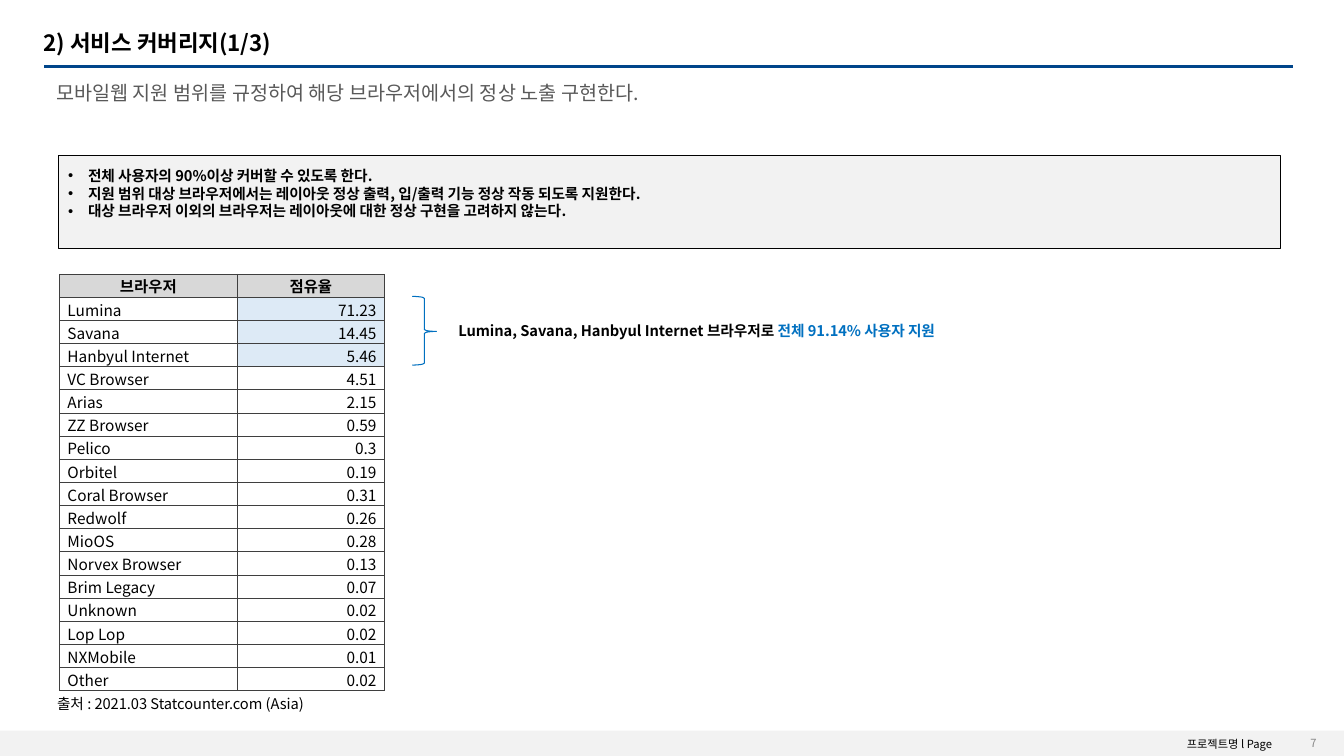
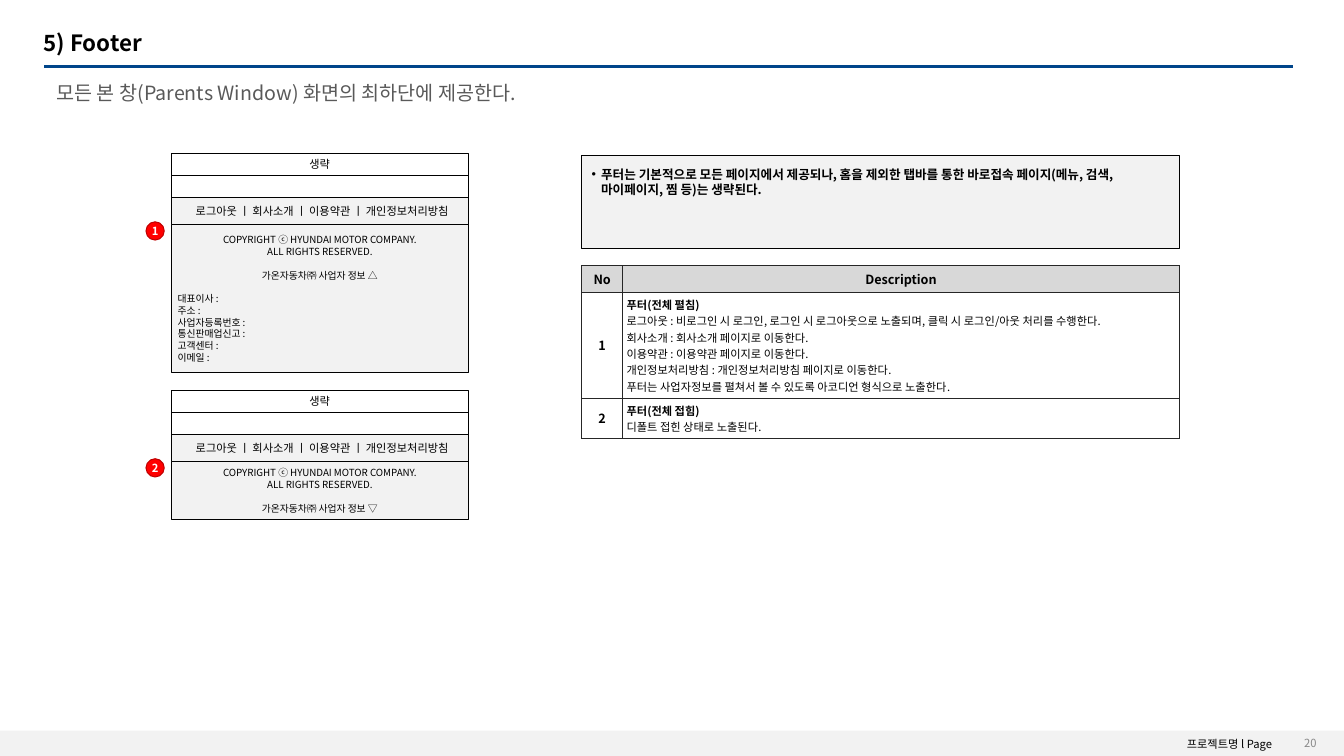
from lxml import etree
from pptx import Presentation
from pptx.dml.color import RGBColor
from pptx.enum.shapes import MSO_CONNECTOR, MSO_SHAPE
from pptx.enum.text import MSO_ANCHOR, MSO_AUTO_SIZE, PP_ALIGN
from pptx.oxml.ns import qn
from pptx.util import Cm, Pt

LEFT, CENTER, RIGHT = PP_ALIGN.LEFT, PP_ALIGN.CENTER, PP_ALIGN.RIGHT
TOP, MIDDLE = MSO_ANCHOR.TOP, MSO_ANCHOR.MIDDLE
RECT, OVAL, BRACE = MSO_SHAPE.RECTANGLE, MSO_SHAPE.OVAL, MSO_SHAPE.RIGHT_BRACE

FONT = "Noto Sans CJK KR"
COLORS = {
    "black": "000000", "white": "FFFFFF", "band": "F2F2F2", "rule": "00458A",
    "subtitle": "595959", "page": "888888", "header": "D8D8D8", "highlight": "DDEAF6",
    "accent": "0070C0", "grid": "3F3F3F", "grid_dark": "262626",
    "badge": "FF0000", "badge_line": "C00000",
}
INSETS = (0.25, 0.13, 0.25, 0.13)
SLIDE_W, SLIDE_H = 33.87, 19.05
TITLE_ONLY = 5
BLANK_LINE = 8.4  # gap in points between the groups of a footer mockup


def rgb(name):
    return RGBColor.from_string(COLORS[name])


def format_paragraph(paragraph, text, size=10.5, bold=False, color="black", align=LEFT,
                     spacing=1.0, before=0, hanging=0, indent=0):
    """Fill one paragraph; text is a string or a list of (text, colour) runs."""
    properties = paragraph._p.get_or_add_pPr()
    if hanging:
        properties.set("marL", str(Cm(hanging)))
        properties.set("indent", str(-Cm(hanging)))
        etree.SubElement(properties, qn("a:buFont"), typeface="Arial")
        etree.SubElement(properties, qn("a:buChar"), char="•")
    elif indent:
        properties.set("marL", str(Cm(indent)))
    paragraph.alignment = align
    paragraph.line_spacing = spacing
    paragraph.space_before = Pt(before)
    for words, run_color in [(text, color)] if isinstance(text, str) else text:
        run = paragraph.add_run()
        run.text = words
        run.font.name, run.font.size, run.font.bold = FONT, Pt(size), bold
        run.font.color.rgb = rgb(run_color)
        etree.SubElement(run._r.get_or_add_rPr(), qn("a:ea"), typeface=FONT)


def write(frame, *lines, anchor=TOP, insets=INSETS, **style):
    """Fill a text frame; a line is a string or a dict that overrides the style."""
    frame.word_wrap = True
    frame.vertical_anchor = anchor
    frame.margin_left, frame.margin_top, frame.margin_right, frame.margin_bottom = map(Cm, insets)
    for number, line in enumerate(lines):
        paragraph = frame.add_paragraph() if number else frame.paragraphs[0]
        options = line if isinstance(line, dict) else {"text": line}
        format_paragraph(paragraph, **{**style, **options})


class Deck:
    """Holds the presentation, its shared style and the current slide."""

    def __init__(self):
        self.prs = Presentation()
        self.prs.slide_width, self.prs.slide_height = Cm(SLIDE_W), Cm(SLIDE_H)
        self.slide = None

    def add_slide(self, title, subtitle, page):
        self.slide = self.prs.slides.add_slide(self.prs.slide_layouts[TITLE_ONLY])
        # Footer band
        self.box(0, 18.41, SLIDE_W, 0.64, fill="band", line=None)
        self.text(25.4, 18.44, 6.91, 0.6, "프로젝트명 l Page", size=8, align=RIGHT)
        self.text(31.65, 18.54, 1.78, 0.38, page, size=8, color="page",
                  align=RIGHT, anchor=MIDDLE)
        # Title, rule and subtitle
        self.rule(1.12, 1.68, 32.59)
        self.text(1.17, 1.98, 31.42, 1.12, subtitle, size=14, color="subtitle", spacing=0.9)
        heading = self.slide.shapes.title
        heading.left, heading.top, heading.width, heading.height = map(
            Cm, (0.85, 0.71, 31.42, 0.79))
        heading.text_frame.auto_size = MSO_AUTO_SIZE.NONE
        write(heading.text_frame, title, size=16, bold=True, anchor=MIDDLE, spacing=0.9)

    def rule(self, left, top, right):
        line = self.slide.shapes.add_connector(
            MSO_CONNECTOR.STRAIGHT, Cm(left), Cm(top), Cm(right), Cm(top))
        line.line.color.rgb, line.line.width = rgb("rule"), Pt(2.25)
        etree.SubElement(line._element.spPr, qn("a:effectLst"))

    def text(self, left, top, width, height, *lines, **style):
        area = self.slide.shapes.add_textbox(Cm(left), Cm(top), Cm(width), Cm(height))
        write(area.text_frame, *lines, **style)

    def box(self, left, top, width, height, *lines, kind=RECT, fill=None, line="black", **style):
        shape = self.slide.shapes.add_shape(kind, Cm(left), Cm(top), Cm(width), Cm(height))
        shape.shadow.inherit = False
        if fill:
            shape.fill.solid()
            shape.fill.fore_color.rgb = rgb(fill)
        else:
            shape.fill.background()
        if line:
            shape.line.color.rgb, shape.line.width = rgb(line), Pt(0.75)
        else:
            shape.line.fill.background()
        if lines:
            write(shape.text_frame, *lines, **style)
        return shape

    def summary(self, left, width, *points, **style):
        self.box(left, 3.91, width, 2.36, *points, fill="band", bold=True,
                 insets=(0.25, 0.3, 0.25, 0.13), **style)

    def table(self, left, top, widths, heights):
        table = self.slide.shapes.add_table(
            len(heights), len(widths), Cm(left), Cm(top),
            Cm(sum(widths)), Cm(sum(heights))).table
        table.first_row = table.horz_banding = False
        for column, width in zip(table.columns, widths):
            column.width = Cm(width)
        for row, height in zip(table.rows, heights):
            row.height = Cm(height)
        return table

    def cell(self, cell, *lines, fill="white", border="grid", insets, **style):
        write(cell.text_frame, *lines, **style)
        cell.vertical_anchor = MIDDLE
        cell.margin_left, cell.margin_top, cell.margin_right, cell.margin_bottom = map(Cm, insets)
        cell.fill.solid()
        cell.fill.fore_color.rgb = rgb(fill)
        properties = cell._tc.get_or_add_tcPr()
        for position, side in enumerate(("a:lnL", "a:lnR", "a:lnT", "a:lnB")):
            edge = etree.Element(qn(side), w=str(Pt(0.75)))
            solid = etree.SubElement(edge, qn("a:solidFill"))
            etree.SubElement(solid, qn("a:srgbClr"), val=COLORS[border])
            properties.insert(position, edge)

    def footer_mockup(self, number, top, body_height, *lines):
        """Draw one numbered screen: omitted part, gap, menu and company details."""
        left, width, strip, menu = 4.32, 7.48, 0.56, 0.69
        menu_top = top + 2 * strip
        body_top = menu_top + menu
        self.box(left, top + strip, width, strip)
        self.box(left, top, width, strip, "생략", fill="white", size=8,
                 align=CENTER, anchor=MIDDLE)
        self.box(left, body_top, width, body_height, *lines, fill="band", size=7,
                 align=CENTER, anchor=MIDDLE, insets=(0.1, 0.13, 0.1, 0.13))
        self.box(left, menu_top, width, menu,
                 "로그아웃 ㅣ 회사소개 ㅣ 이용약관 ㅣ 개인정보처리방침", fill="band", size=8,
                 align=CENTER, anchor=MIDDLE, insets=(0.13, 0.13, 0, 0.13))
        self.box(3.68, body_top - 0.08, 0.46, 0.46, number, kind=OVAL, fill="badge",
                 line="badge_line", size=8, bold=True, color="white",
                 align=CENTER, anchor=MIDDLE, insets=(0, 0, 0, 0))


BROWSER_SHARES = [
    ("Lumina", "71.23"), ("Savana", "14.45"), ("Hanbyul Internet", "5.46"),
    ("VC Browser", "4.51"), ("Arias", "2.15"), ("ZZ Browser", "0.59"),
    ("Pelico", "0.3"), ("Orbitel", "0.19"), ("Coral Browser", "0.31"),
    ("Redwolf", "0.26"), ("MioOS", "0.28"), ("Norvex Browser", "0.13"),
    ("Brim Legacy", "0.07"), ("Unknown", "0.02"), ("Lop Lop", "0.02"),
    ("NXMobile", "0.01"), ("Other", "0.02"),
]
SUPPORTED = 3
SHARES_HEIGHT = 10.5

FOOTER_STATES = [
    ("1", "푸터(전체 펼침)", [
        "로그아웃 : 비로그인 시 로그인, 로그인 시 로그아웃으로 노출되며, "
        "클릭 시 로그인/아웃 처리를 수행한다.",
        "회사소개 : 회사소개 페이지로 이동한다.",
        "이용약관 : 이용약관 페이지로 이동한다.",
        "개인정보처리방침 : 개인정보처리방침 페이지로 이동한다.",
        "푸터는 사업자정보를 펼쳐서 볼 수 있도록 아코디언 형식으로 노출한다.",
    ]),
    ("2", "푸터(전체 접힘)", ["디폴트 접힌 상태로 노출된다."]),
]
COPYRIGHT = ["COPYRIGHT ⓒ HYUNDAI MOTOR COMPANY.", "ALL RIGHTS RESERVED."]
COMPANY_FIELDS = ["대표이사 :", "주소 :", "사업자등록번호 :", "통신판매업신고 :",
                  "고객센터 :", "이메일 :"]


def coverage_slide(deck):
    deck.add_slide("2) 서비스 커버리지(1/3)",
                   "모바일웹 지원 범위를 규정하여 해당 브라우저에서의 정상 노출 구현한다.", "7")
    deck.summary(1.47, 30.8,
                 "전체 사용자의 90%이상 커버할 수 있도록 한다.",
                 "지원 범위 대상 브라우저에서는 레이아웃 정상 출력, 입/출력 기능 정상 작동 되도록 지원한다.",
                 "대상 브라우저 이외의 브라우저는 레이아웃에 대한 정상 구현을 고려하지 않는다.",
                 hanging=0.5)

    # Browser shares
    rows = [("브라우저", "점유율")] + BROWSER_SHARES
    shares = deck.table(1.5, 6.91, [4.48, 3.71], [SHARES_HEIGHT / len(rows)] * len(rows))
    for r, values in enumerate(rows):
        for c, value in enumerate(values):
            if r == 0:
                look = {"fill": "header", "bold": True, "align": CENTER}
            elif c == 0:
                look = {"align": LEFT}
            else:
                look = {"fill": "highlight" if r <= SUPPORTED else "white", "align": RIGHT}
            deck.cell(shares.cell(r, c), value, size=11, insets=(0.2, 0.02, 0.2, 0), **look)

    # Supported browsers
    brace = deck.box(10.39, 7.47, 0.61, 1.73, kind=BRACE, line="accent")
    brace.adjustments[0], brace.adjustments[1] = 0.08, 0.51
    supported = ", ".join(name for name, _ in BROWSER_SHARES[:SUPPORTED])
    deck.text(11.3, 7.98, 15.34, 0.71,
              {"text": [(supported + " 브라우저로 ", "black"),
                        ("전체 91.14% 사용자 지원", "accent")]}, bold=True)
    deck.text(1.19, 17.37, 9.53, 0.71, "출처 : 2021.03 Statcounter.com (Asia)")


def footer_slide(deck):
    deck.add_slide("5) Footer", "모든 본 창(Parents Window) 화면의 최하단에 제공한다.", "20")

    # Descriptions
    states = deck.table(14.66, 6.69, [1.03, 14.03], [0.68, 2.67, 1.01])
    shared = {"border": "grid_dark", "insets": (0.1, 0.1, 0.1, 0.1)}
    for c, heading in enumerate(("No", "Description")):
        deck.cell(states.cell(0, c), heading, fill="header", size=9, bold=True,
                  align=CENTER, **shared)
    for r, (number, name, details) in enumerate(FOOTER_STATES, start=1):
        deck.cell(states.cell(r, 0), number, size=9, bold=True, align=CENTER, **shared)
        deck.cell(states.cell(r, 1), {"text": name, "bold": True}, *details, size=8, **shared)

    # Expanded and collapsed footers
    fields = [{"text": field, "align": LEFT, "indent": 0.06,
               "before": 0 if position else BLANK_LINE}
              for position, field in enumerate(COMPANY_FIELDS)]
    for number, top, height, arrow, extra in (("1", 3.86, 3.71, "△", fields),
                                              ("2", 9.83, 1.45, "▽", [])):
        company = {"text": f"가온자동차㈜ 사업자 정보 {arrow}", "before": BLANK_LINE}
        deck.footer_mockup(number, top, height, *COPYRIGHT, company, *extra)

    deck.summary(14.66, 15.06,
                 "푸터는 기본적으로 모든 페이지에서 제공되나, 홈을 제외한 탭바를 통한 "
                 "바로접속 페이지(메뉴, 검색, 마이페이지, 찜 등)는 생략된다.",
                 size=9, hanging=0.24)


def main():
    deck = Deck()
    coverage_slide(deck)
    footer_slide(deck)
    deck.prs.save("out.pptx")


if __name__ == "__main__":
    main()
